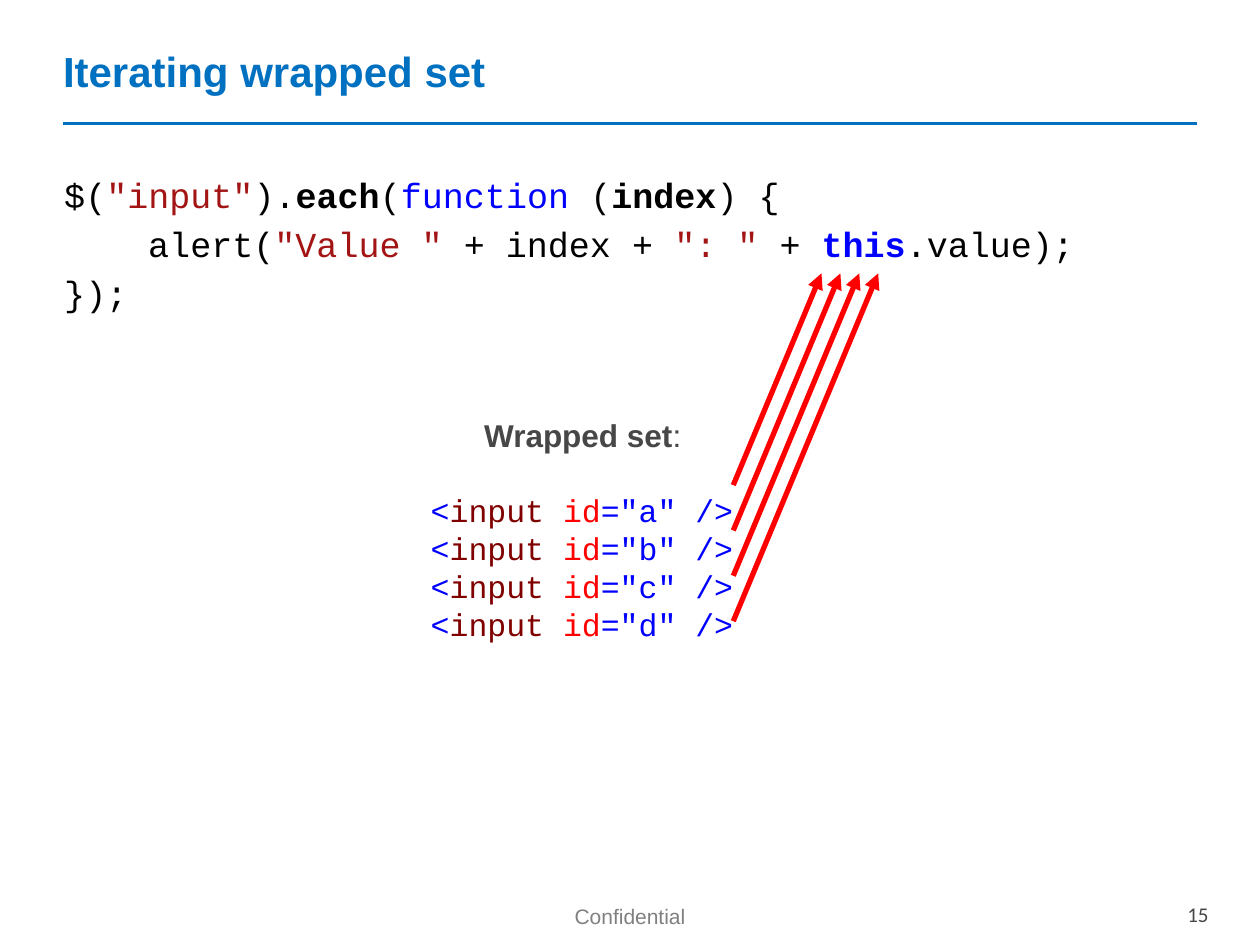
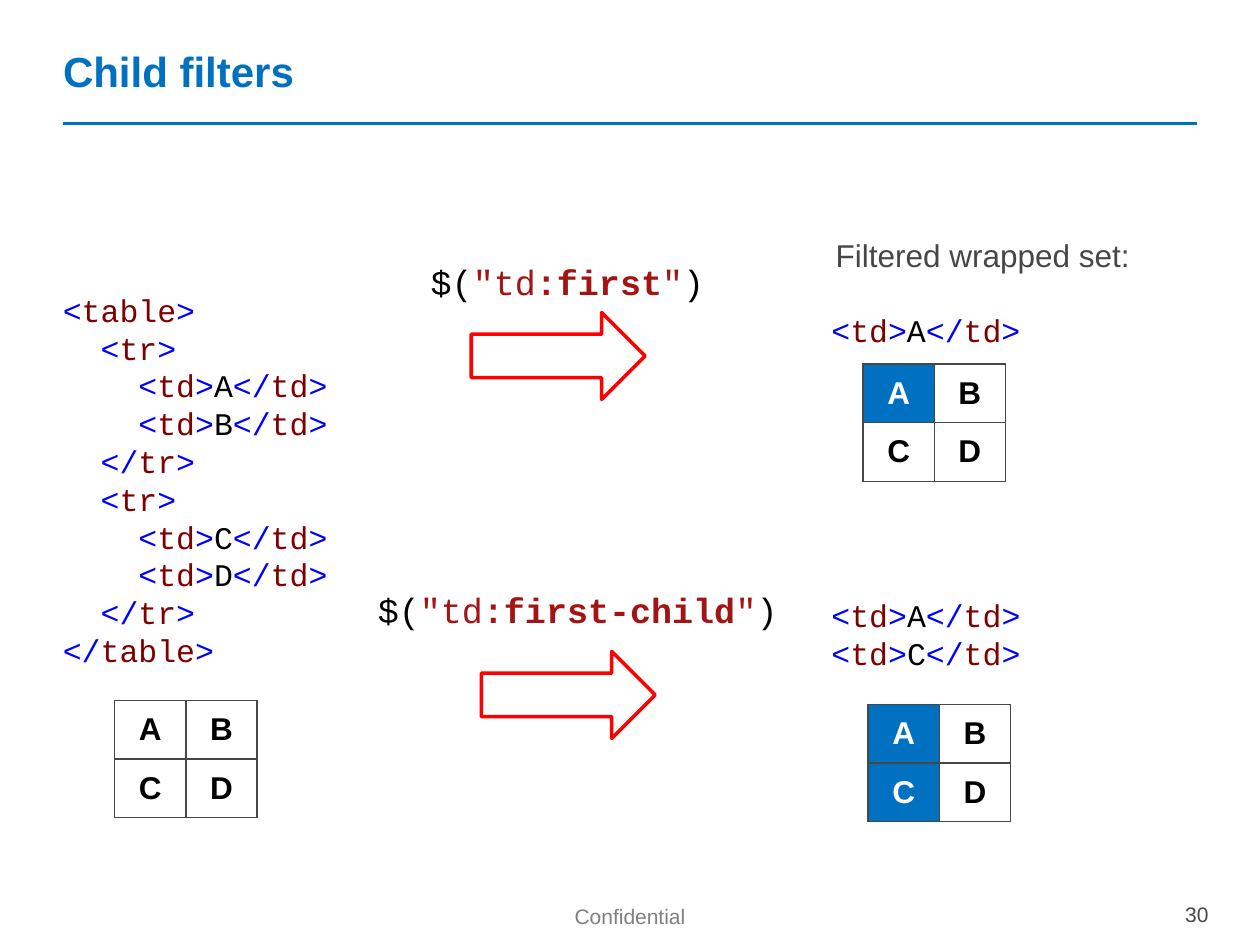
from lxml.etree import SubElement
from pptx import Presentation
from pptx.dml.color import RGBColor
from pptx.enum.shapes import MSO_CONNECTOR, MSO_SHAPE
from pptx.enum.text import MSO_ANCHOR, MSO_AUTO_SIZE, PP_ALIGN
from pptx.oxml.ns import qn
from pptx.util import Inches, Pt

BLUE = RGBColor(0x00, 0x70, 0xC0)
GRAY = RGBColor(0x47, 0x47, 0x47)
FOOTER_GRAY = RGBColor(0x80, 0x80, 0x80)
BLACK = RGBColor(0x00, 0x00, 0x00)
WHITE = RGBColor(0xFF, 0xFF, 0xFF)
RED = RGBColor(0xFF, 0x00, 0x00)
KEYWORD = RGBColor(0x00, 0x00, 0xFF)
STRING = RGBColor(0xA3, 0x15, 0x15)
TAG = RGBColor(0x80, 0x00, 0x00)

SANS, MONO = "Arial", "Courier New"
CELL = Inches(0.1)  # the slide is a grid of 100 columns by 75 rows
COLS, ROWS = 100, 75
LINE = 1.2  # line height as a share of the font size
MONO_WIDTH = 0.6  # character width as a share of the font size


def grid(*lengths):
    """Turn grid columns or rows into slide lengths."""
    return [round(n * CELL) for n in lengths]


def set_font(font, **values):
    """Apply format values to a font; color is set apart."""
    font.color.rgb = values.pop("color", BLACK)
    for name, value in values.items():
        setattr(font, name, value)


def write(p, runs, size, font=MONO, indent=0):
    """Write (text, color, bold) runs, indented by a number of characters."""
    p.line_spacing = Pt(size * LINE)
    pPr = p._p.get_or_add_pPr()
    pPr.set("marL", str(Pt(indent * size * MONO_WIDTH)))
    pPr.set("indent", "0")
    for text, color, *bold in runs:
        r = p.add_run()
        r.text = text
        set_font(r.font, name=font, size=Pt(size), bold=bool(bold), color=color)


def add_lines(tf, lines, size):
    """Write (indent, runs) code lines into a text frame and return its paragraphs."""
    for i, (indent, runs) in enumerate(lines):
        p = tf.paragraphs[0] if i == 0 else tf.add_paragraph()
        write(p, runs, size, indent=indent)
    return tf.paragraphs


def text_box(s, box):
    """Add an unwrapped text box that fits its text."""
    tf = s.shapes.add_textbox(*grid(*box)).text_frame
    tf.word_wrap = False
    tf.auto_size = MSO_AUTO_SIZE.SHAPE_TO_FIT_TEXT
    return tf


def code_box(s, box, lines, size=18, label=None):
    """Add code lines, under a centred label if one is given."""
    tf = text_box(s, box)
    if not label:
        add_lines(tf, lines, size)
        return
    p = tf.paragraphs[0]
    p.alignment = PP_ALIGN.CENTER
    p.space_after = Pt(size * LINE)
    write(p, label, size, font=SANS)
    for indent, runs in lines:
        write(tf.add_paragraph(), runs, size, indent=indent)


def connector(s, start, end, color, width, arrow=False):
    """Draw a straight line, with an arrowhead at its end if asked."""
    c = s.shapes.add_connector(MSO_CONNECTOR.STRAIGHT, *grid(*start, *end))
    c.line.color.rgb = color
    c.line.width = Pt(width)
    if arrow:
        SubElement(c.line._get_or_add_ln(), qn("a:tailEnd"), type="triangle")
    SubElement(c._element.spPr, qn("a:effectLst"))


def footer_text(s, box, text, align, font, color):
    """Write one footer entry."""
    tf = s.shapes.add_textbox(*grid(*box)).text_frame
    tf.word_wrap = True
    tf.margin_top = grid(0.7)[0]
    p = tf.paragraphs[0]
    p.alignment = align
    p.line_spacing = 0.93
    r = p.add_run()
    r.text = text
    set_font(r.font, name=font, size=Pt(12), color=color)


def place(sp, box):
    """Move a placeholder to a box."""
    sp.left, sp.top, sp.width, sp.height = grid(*box)
    sp.text_frame.auto_size = MSO_AUTO_SIZE.NONE


def add_slide(prs, layout, title, number, number_font):
    """Add a slide with the shared title, rule and footer."""
    s = prs.slides.add_slide(prs.slide_layouts[layout])
    connector(s, (5, 9.8), (COLS - 5, 9.8), BLUE, 2)
    footer_text(s, (39.4, 71.2, 21.2, 3.9), "Confidential",
                PP_ALIGN.CENTER, SANS, FOOTER_GRAY)
    footer_text(s, (87.9, 71, 9, 2.8), number, PP_ALIGN.RIGHT, number_font, GRAY)
    sp = s.shapes.title
    place(sp, (4, 0.2, 92.9, 10.8))
    tf = sp.text_frame
    tf.vertical_anchor = MSO_ANCHOR.MIDDLE
    tf.text = title
    p = tf.paragraphs[0]
    p.alignment = PP_ALIGN.LEFT
    set_font(p.runs[0].font, name=SANS, size=Pt(24), bold=True, color=BLUE)
    return s


def tag(name, close=False):
    """Give the runs of an opening or closing tag."""
    return [("</" if close else "<", KEYWORD), (name, TAG), (">", KEYWORD)]


def td(text):
    """Give the runs of one table cell element."""
    return tag("td") + [(text, BLACK)] + tag("td", close=True)


def input_tag(name):
    """Give the runs of one input element."""
    return [("<", KEYWORD), ("input", TAG), (" ", BLACK), ("id", RED),
            (f'="{name}"', KEYWORD), (" ", BLACK), ("/>", KEYWORD)]


def letter_table(s, left, top, chosen=""):
    """Add the 2 by 2 table of letters with the chosen ones marked."""
    frame = s.shapes.add_table(2, 2, *grid(left, top, 11.3, 9.3))
    table = frame.table
    table.first_row = table.horz_banding = False
    for cell, letter in zip(table.iter_cells(), "ABCD"):
        marked = letter in chosen
        tcPr = cell._tc.get_or_add_tcPr()
        for side in ("a:lnL", "a:lnR", "a:lnT", "a:lnB"):
            ln = SubElement(tcPr, qn(side), w=str(Pt(1)))
            fill = SubElement(ln, qn("a:solidFill"))
            SubElement(fill, qn("a:srgbClr"), val=str(GRAY))
        cell.fill.solid()
        cell.fill.fore_color.rgb = BLUE if marked else WHITE
        cell.vertical_anchor = MSO_ANCHOR.MIDDLE
        cell.text = letter
        p = cell.text_frame.paragraphs[0]
        p.alignment = PP_ALIGN.CENTER
        set_font(p.runs[0].font, name=SANS, size=Pt(18), bold=True,
                 color=WHITE if marked else BLACK)


def selector(s, box, filter_name, arrow_at):
    """Add a selector call and the outlined block arrow below it."""
    code = [("$(", BLACK), ('"td', STRING), (filter_name, STRING, True),
            ('"', STRING), (")", BLACK)]
    code_box(s, box, [(0, code)], size=20)
    arrow = s.shapes.add_shape(MSO_SHAPE.RIGHT_ARROW, *grid(*arrow_at, 13.8, 6.9))
    arrow.shadow.inherit = False
    arrow.fill.background()
    arrow.line.color.rgb = RED
    arrow.line.width = Pt(2)


def iterating_slide(prs):
    """Build the slide on looping over a wrapped set."""
    s = add_slide(prs, 1, "Iterating wrapped set", "15", "Calibri")
    body = s.placeholders[1]
    place(body, (4.1, 13.3, 92.8, 52.5))
    lines = [
        (0, [("$(", BLACK), ('"input"', STRING), (").", BLACK), ("each", BLACK, True),
             ("(", BLACK), ("function", KEYWORD), (" (", BLACK),
             ("index", BLACK, True), (") {", BLACK)]),
        (4, [("alert(", BLACK), ('"Value "', STRING), (" + index + ", BLACK),
             ('": "', STRING), (" + ", BLACK), ("this", KEYWORD, True),
             (".value);", BLACK)]),
        (0, [("});", BLACK)]),
    ]
    for p in add_lines(body.text_frame, lines, 20):
        p.space_before = Pt(4)
        SubElement(p._p.get_or_add_pPr(), qn("a:buNone"))

    code_box(s, (33.2, 32.5, 26.1, 19.2), [(0, input_tag(name)) for name in "abcd"],
             label=[("Wrapped set", GRAY, True), (":", GRAY)])
    for i in range(4):
        connector(s, (58.2, 38.5 + 3.6 * i), (65.2 + 1.5 * i, 21.7), RED, 3, arrow=True)


def filters_slide(prs):
    """Build the slide that compares two child filters."""
    s = add_slide(prs, 5, "Child filters", "30", SANS)
    markup = [(0, tag("table"))]
    for row in ("AB", "CD"):
        markup += [(2, tag("tr")), *[(4, td(letter)) for letter in row],
                   (2, tag("tr", close=True))]
    markup.append((0, tag("table", close=True)))
    code_box(s, (4, 22.6, 23.1, 31.3), markup)
    letter_table(s, 9.1, 55.6)

    selector(s, (33.2, 20.2, 23.9, 4.4), ":first", (37.4, 24.8))
    code_box(s, (65, 18.2, 26, 10.1), [(0, td("A"))],
             label=[("Filtered wrapped set:", GRAY)])
    letter_table(s, 68.5, 28.9, chosen="A")

    selector(s, (29, 46.2, 34, 4.4), ":first-child", (38.2, 51.7))
    code_box(s, (65, 46.8, 17.1, 7.1), [(0, td(letter)) for letter in "AC"])
    letter_table(s, 68.9, 55.9, chosen="AC")


prs = Presentation()
prs.slide_width, prs.slide_height = grid(COLS, ROWS)
iterating_slide(prs)
filters_slide(prs)
prs.save("out.pptx")
